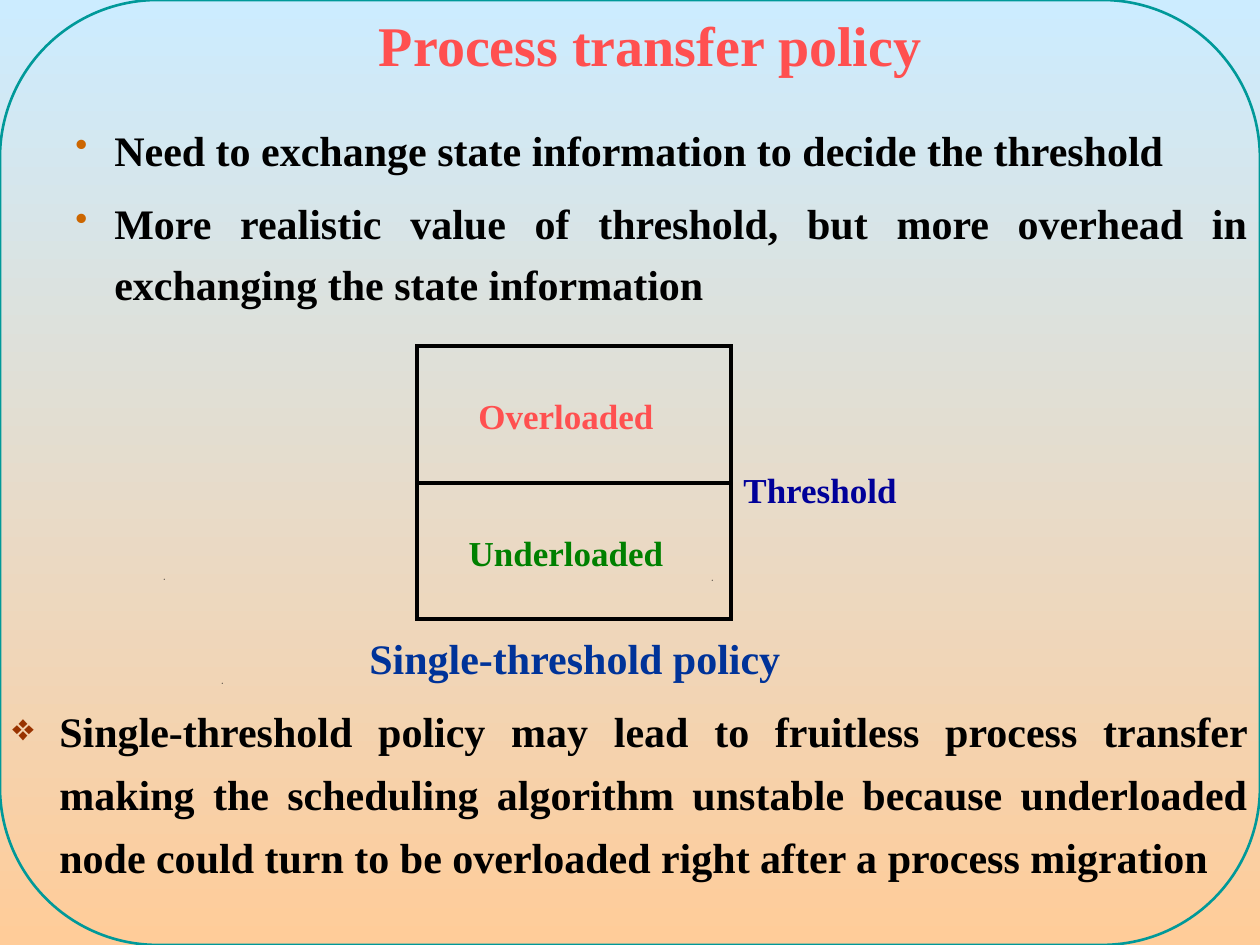
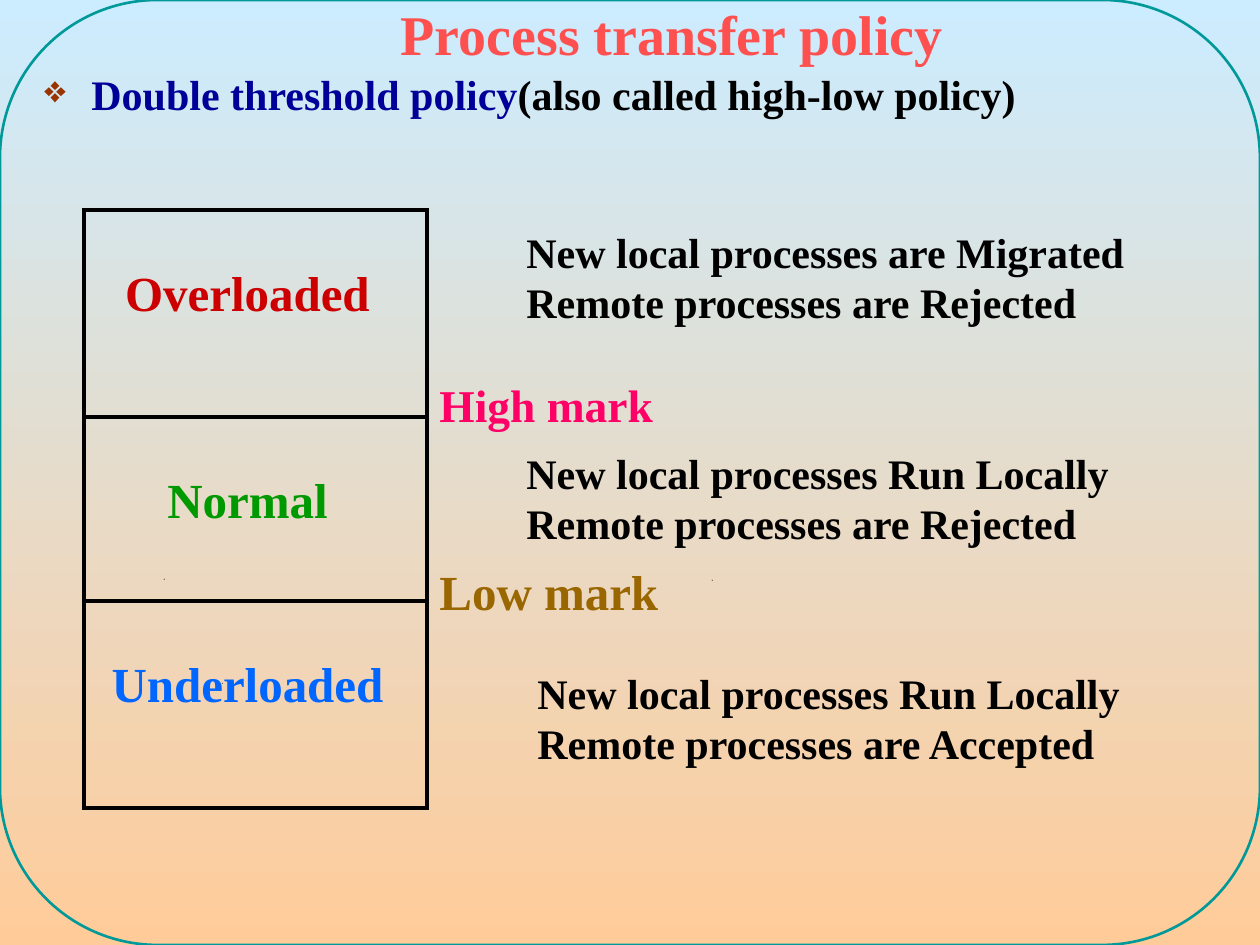
from dataclasses import dataclass

from lxml import etree
from pptx import Presentation
from pptx import util as u
from pptx.dml.color import RGBColor
from pptx.enum import shapes, text
from pptx.oxml.ns import qn

PX = 914400 // 126
WIDTH, HEIGHT = 1260, 945


@dataclass(frozen=True)
class Theme:
    font: str = "Times New Roman"
    sky: str = "CCECFF"
    peach: str = "FFCC99"
    frame: str = "009999"
    title: str = "FF5050"
    ink: str = "000000"
    navy: str = "000099"
    caption: str = "003399"
    title_size: int = 32
    body_size: int = 24


THEME = Theme()
SPECKS = [(222, 683), (164, 579), (712, 580)]
# bullet: (character, colour, size in percent, left margin px, hanging px)
DOT = ("•", "CC6600", 85, 102, 39)
DIAMOND = ("❖", "993300", 90, 47, 47)

# bullet lists: (box, bullet, line spacing, space before, paragraphs of (text, colour) runs)
SLIDES = [
    dict(
        title=("Process transfer policy", (94, 0, 1113, 84)),
        lists=[
            ((0, 108, 1260, 210), DOT, 1.2, 7.5, [
                [("Need to exchange state information to decide the threshold", THEME.ink)],
                [("More realistic value of threshold, but more overhead in "
                  "exchanging the state information", THEME.ink)],
            ]),
            ((0, 687, 1260, 210), DIAMOND, 1.25, 0, [
                [("Single-threshold policy may lead to fruitless process transfer "
                  "making the scheduling algorithm unstable because underloaded "
                  "node could turn to be overloaded right after a process migration",
                  THEME.ink)],
            ]),
        ],
        left=417, width=314, edges=[346, 483, 619],
        bands=[("Overloaded", "FF5050"), ("Underloaded", "008000")],
        band_size=20, label_drop=42,
        marks=[("Threshold", THEME.navy, 20)], mark_rise=21,
        notes=[(["Single-threshold policy"], (357, 626, 509, 63), THEME.caption)],
    ),
    dict(
        title=("Process transfer policy", (84, 0, 1176, 73)),
        lists=[
            ((32, 52, 1207, 70), DIAMOND, 1.2, 0, [
                [("Double threshold policy", THEME.navy),
                 ("(also called high-low policy)", THEME.ink)],
            ]),
        ],
        left=84, width=343, edges=[210, 417, 601, 808],
        bands=[("Overloaded", "CC0000"), ("Normal", "009900"), ("Underloaded", "0066FF")],
        band_size=28, label_drop=46,
        marks=[("High mark", "FF0066", 26), ("Low mark", "996600", 28)], mark_rise=46,
        notes=[
            (["New local processes are Migrated", "Remote processes are Rejected"],
             (514, 220, 660, 113), THEME.ink),
            (["New local processes Run Locally", "Remote processes are Rejected"],
             (514, 441, 660, 113), THEME.ink),
            (["New local processes Run Locally", "Remote processes are Accepted"],
             (525, 661, 660, 113), THEME.ink),
        ],
    ),
]


def px(box):
    return [u.Emu(value * PX) for value in box]


def style(font, color, size):
    font.name, font.size, font.bold = THEME.font, u.Pt(size), True
    font.color.rgb = RGBColor.from_string(color)


def add_outline(slide, kind, box, color, weight):
    outline = slide.shapes.add_shape(kind, *px(box))
    outline.shadow.inherit = False
    outline.fill.background()
    outline.line.color.rgb = RGBColor.from_string(color)
    outline.line.width = u.Pt(weight)
    etree.SubElement(outline.line._get_or_add_ln(), qn("a:miter"), lim="800000")
    return outline


def add_specks(slide):
    for x, y in SPECKS:
        builder = slide.shapes.build_freeform(x, y, scale=PX)
        builder.add_line_segments([(x + 1, y), (x, y + 1)], close=True)
        speck = builder.convert_to_shape()
        speck.shadow.inherit = False
        speck.fill.solid()
        speck.fill.fore_color.rgb = RGBColor.from_string(THEME.ink)
        speck.line.fill.background()


def add_text(slide, lines, box, color, size, align=text.PP_ALIGN.LEFT):
    frame = slide.shapes.add_textbox(*px(box)).text_frame
    frame.word_wrap = True
    for i, line in enumerate(lines):
        paragraph = frame.paragraphs[0] if i == 0 else frame.add_paragraph()
        paragraph.text = line
        paragraph.alignment = align
        style(paragraph.font, color, size)


def set_bullet(paragraph, bullet):
    char, color, percent, margin, hanging = bullet
    props = paragraph._p.get_or_add_pPr()
    props.set("marL", str(margin * PX))
    props.set("indent", str(-hanging * PX))
    tint = etree.SubElement(props, qn("a:buClr"))
    etree.SubElement(tint, qn("a:srgbClr"), val=color)
    etree.SubElement(props, qn("a:buSzPct"), val=str(percent * 1000))
    etree.SubElement(props, qn("a:buChar"), char=char)


def add_list(slide, box, bullet, spacing, before, items):
    frame = slide.shapes.add_textbox(*px(box)).text_frame
    frame.word_wrap = True
    for i, runs in enumerate(items):
        paragraph = frame.paragraphs[0] if i == 0 else frame.add_paragraph()
        set_bullet(paragraph, bullet)
        paragraph.alignment = text.PP_ALIGN.JUSTIFY
        paragraph.line_spacing = spacing
        if i:
            paragraph.space_before = u.Pt(before)
        style(paragraph.font, THEME.ink, THEME.body_size)
        for words, color in runs:
            run = paragraph.add_run()
            run.text = words
            run.font.color.rgb = RGBColor.from_string(color)


def add_title(slide, words, box):
    title = slide.shapes.title
    title.left, title.top, title.width, title.height = px(box)
    title.text_frame.text = words
    title.text_frame.vertical_anchor = text.MSO_ANCHOR.BOTTOM
    paragraph = title.text_frame.paragraphs[0]
    paragraph.alignment = text.PP_ALIGN.CENTER
    style(paragraph.font, THEME.title, THEME.title_size)


def add_load_scale(slide, page):
    """Stack the load bands and name the marks between them."""
    left, width, edges = page["left"], page["width"], page["edges"]
    for (label, color), top, bottom in zip(page["bands"], edges, edges[1:]):
        add_outline(slide, shapes.MSO_SHAPE.RECTANGLE,
                    (left, top, width, bottom - top), THEME.ink, 2.25)
        add_text(slide, [label], (left, top + page["label_drop"], width - 16, 64),
                 color, page["band_size"], text.PP_ALIGN.CENTER)
    for (mark, color, size), edge in zip(page["marks"], edges[1:]):
        add_text(slide, [mark], (left + width, edge - page["mark_rise"], 245, 64),
                 color, size)


def set_background(master):
    fill = master.background.fill
    fill.gradient()
    fill.gradient_angle = 270
    for stop, color in zip(fill.gradient_stops, (THEME.sky, THEME.peach)):
        stop.color.rgb = RGBColor.from_string(color)


def main():
    prs = Presentation()
    prs.slide_width, prs.slide_height = px((WIDTH, HEIGHT))
    set_background(prs.slide_master)
    for page in SLIDES:
        slide = prs.slides.add_slide(prs.slide_layouts[5])
        add_specks(slide)
        border = add_outline(slide, shapes.MSO_SHAPE.ROUNDED_RECTANGLE,
                             (0, 0, WIDTH, HEIGHT), THEME.frame, 1.5)
        border.adjustments[0] = 0.167
        add_title(slide, *page["title"])
        for bullet_list in page["lists"]:
            add_list(slide, *bullet_list)
        add_load_scale(slide, page)
        for lines, box, color in page["notes"]:
            add_text(slide, lines, box, color, THEME.body_size)
    prs.save("out.pptx")


if __name__ == "__main__":
    main()
